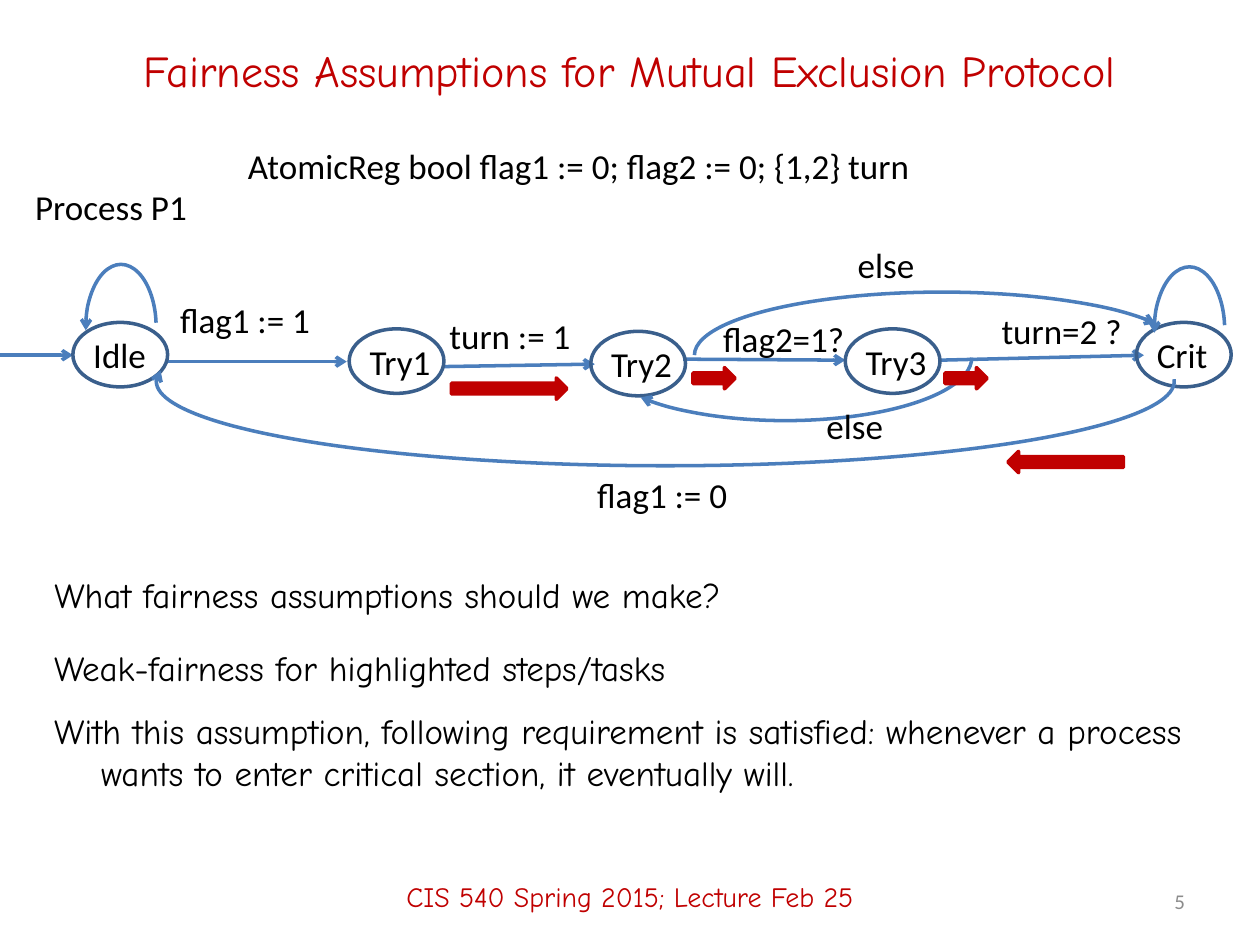
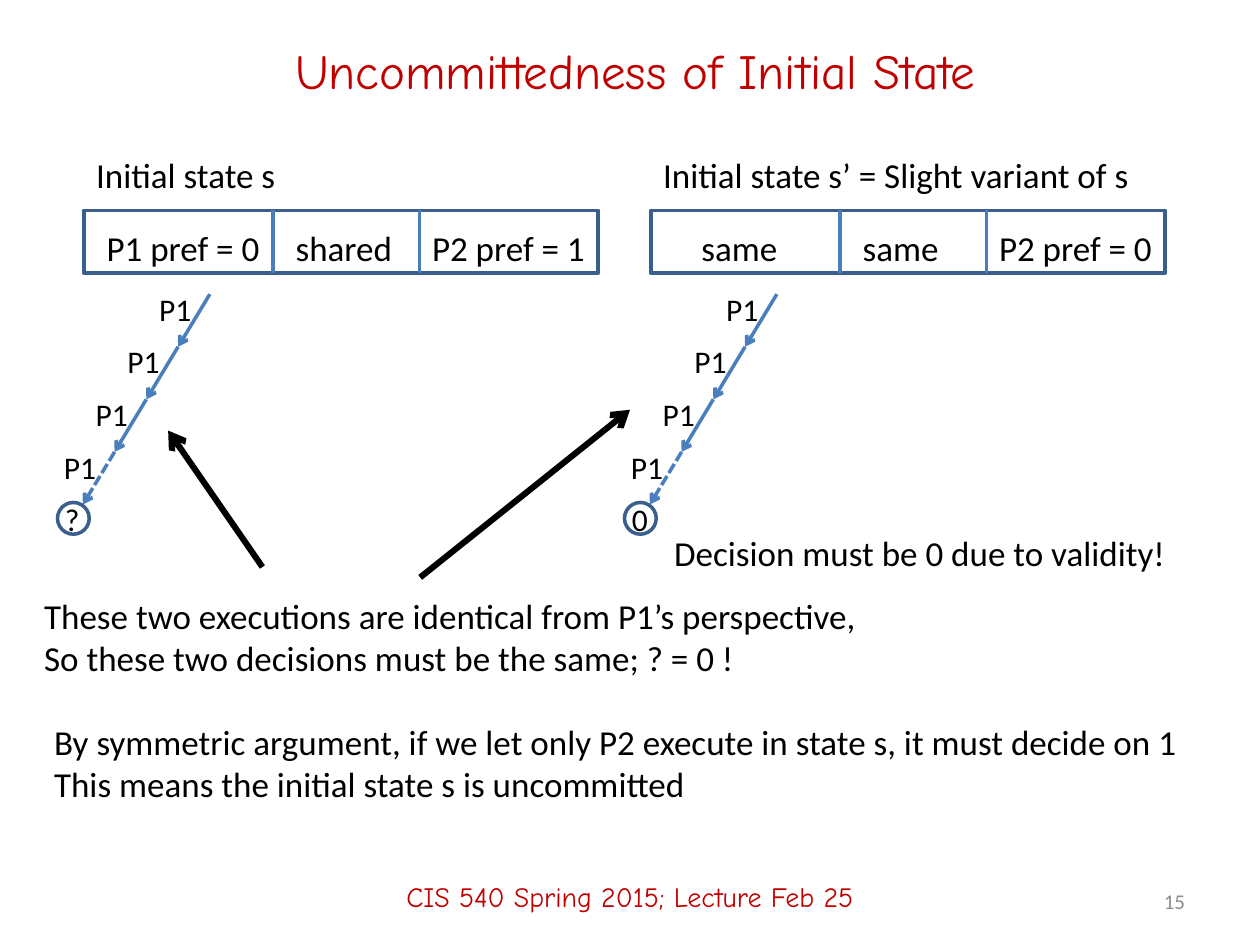
from pptx import Presentation
from pptx.dml.color import RGBColor
from pptx.enum.dml import MSO_LINE
from pptx.enum.shapes import MSO_CONNECTOR, MSO_SHAPE
from pptx.enum.text import MSO_ANCHOR as Anchor, MSO_AUTO_SIZE as AutoSize, PP_ALIGN as Align
from pptx.oxml.ns import qn
from pptx.util import Cm, Pt
from lxml.etree import SubElement

COLORS = {"accent": "C00000", "edge": "4B7EBC", "outline": "3A5F8C",
          "text": "000000", "number": "8C8C8C"}
HEADING_FONT, BODY_FONT = "Comic Neue", "Calibri"
LABEL_HEIGHT = 1.12
LABEL_FRAME = {"word_wrap": False, "auto_size": AutoSize.SHAPE_TO_FIT_TEXT,
               "vertical_anchor": Anchor.TOP}
BLOCK_FRAME = {"word_wrap": True, "auto_size": AutoSize.NONE, "vertical_anchor": Anchor.TOP}
MIDDLE_FRAME = {**BLOCK_FRAME, "vertical_anchor": Anchor.MIDDLE}
LEFT = {"alignment": Align.LEFT}
CENTER = {"alignment": Align.CENTER}
RIGHT = {"alignment": Align.RIGHT}


def rgb(color):
    return RGBColor.from_string(COLORS[color])


def apply_format(target, values):
    for name, value in values.items():
        setattr(target, name, value)


def place(shape, box):
    apply_format(shape, dict(zip(("left", "top", "width", "height"), map(Cm, box))))


def write(shape, lines, frame, layout, font, size, color="text"):
    text_frame = shape.text_frame
    apply_format(text_frame, frame)
    for index, line in enumerate(lines):
        paragraph = text_frame.add_paragraph() if index else text_frame.paragraphs[0]
        apply_format(paragraph, {**layout, "space_before": Pt(0)})
        run = paragraph.add_run()
        run.text = line
        apply_format(run.font, {"name": font, "size": Pt(size)})
        run.font.color.rgb = rgb(color)


def add_title(slide, text, left, width, size):
    title = slide.shapes.title
    place(title, (left, 0.42, width, 1.98))
    write(title, [text], MIDDLE_FRAME, CENTER, HEADING_FONT, size, "accent")


def add_label(slide, lines, left, top, width, height=LABEL_HEIGHT, size=20):
    label = slide.shapes.add_textbox(*map(Cm, (left, top, width, height)))
    write(label, lines, LABEL_FRAME, LEFT, BODY_FONT, size)


def fill_statement(shape, text, box):
    place(shape, box)
    properties = shape.text_frame.paragraphs[0]._p.get_or_add_pPr()
    apply_hanging = {"marL": Cm(0.95), "indent": -Cm(0.95)}
    for name, value in apply_hanging.items():
        properties.set(name, str(int(value)))
    SubElement(properties, qn("a:buNone"))
    write(shape, [text], BLOCK_FRAME, LEFT, HEADING_FONT, 20)


def add_footer(slide, number):
    footer = slide.shapes.add_textbox(*map(Cm, (0, 17.07, 25.4, 1.98)))
    write(footer, ["CIS 540 Spring 2015; Lecture Feb 25"], MIDDLE_FRAME, CENTER,
          HEADING_FONT, 16, "accent")
    page = slide.shapes.add_textbox(*map(Cm, (18.21, 17.65, 5.93, 1.02)))
    write(page, [str(number)], MIDDLE_FRAME, RIGHT, BODY_FONT, 12, "number")


def add_arrowhead(shape, end):
    SubElement(shape._element.spPr.get_or_add_ln(), qn(f"a:{end}"), type="arrow")


def add_line(slide, start, finish, color="edge", width=2, arrow=True, dash=None):
    line = slide.shapes.add_connector(MSO_CONNECTOR.STRAIGHT, *map(Cm, (*start, *finish)))
    line.line.color.rgb = rgb(color)
    apply_format(line.line, {"width": Pt(width), "dash_style": dash})
    if arrow:
        add_arrowhead(line, "tailEnd")
    SubElement(line._element.spPr, qn("a:effectLst"))


def add_figure(slide, kind, box, color="outline", filled=False, flip=None):
    shape = slide.shapes.add_shape(kind, *map(Cm, box))
    shape.shadow.inherit = False
    if filled:
        shape.fill.solid()
        shape.fill.fore_color.rgb = rgb(color)
    else:
        shape.fill.background()
    shape.line.color.rgb = rgb(color)
    shape.line.width = Pt(2)
    if flip:
        shape._element.spPr.xfrm.set(flip, "1")
    return shape


def add_arc(slide, box, angles, end="headEnd", flip=None, rotation=0):
    arc = add_figure(slide, MSO_SHAPE.ARC, box, "edge", flip=flip)
    for index, angle in enumerate(angles):
        arc.adjustments[index] = angle
    arc.rotation = rotation
    add_arrowhead(arc, end)


def add_state(slide, name, left, top, label_width):
    add_figure(slide, MSO_SHAPE.OVAL, (left, top, 1.91, 1.3))
    add_label(slide, [name], left + 0.16, top + 0.1, label_width)


def add_highlight(slide, left, top, width, flip=None):
    add_figure(slide, MSO_SHAPE.RIGHT_ARROW, (left, top, width, 0.43), "accent", True, flip)


def add_record(slide, left, caption, caption_width, cells):
    add_label(slide, [caption], left, 2.97, caption_width)
    add_figure(slide, MSO_SHAPE.RECTANGLE, (left, 4.24, 10.37, 1.27))
    for offset in (3.81, 6.77):
        add_line(slide, (left + offset, 4.24), (left + offset, 5.51), arrow=False)
    for text, offset, width in cells:
        add_label(slide, [text], left + offset, 4.45, width)


def add_execution(slide, record_left, decision):
    steps, step_x, step_y = 4, 0.64, 1.06
    for step in range(steps):
        x, y = record_left + 2.54 - step * step_x, 5.93 + step * step_y
        dash = MSO_LINE.SQUARE_DOT if step == steps - 1 else None
        add_line(slide, (x, y), (x - step_x, y + step_y), dash=dash)
        add_label(slide, ["P1"], x - 1.27, y - 0.21, 1.24, 1.02, 18)
    add_figure(slide, MSO_SHAPE.OVAL, (record_left - 0.53, 10.13, 0.64, 0.64))
    add_label(slide, [decision], record_left - 0.63, 9.96, 0.84, 1.02, 18)


def build_fairness(presentation):
    slide = presentation.slides.add_slide(presentation.slide_layouts[1])
    add_title(slide, "Fairness Assumptions for Mutual Exclusion Protocol", 0.84, 23.7, 25.2)

    transitions = [((0, 7.16), (1.47, 7.16)), ((3.38, 7.29), (6.99, 7.29)),
                   ((8.94, 7.39), (11.99, 7.34)), ((13.77, 7.24), (17.04, 7.26)),
                   ((18.97, 7.26), (23.06, 7.16))]
    for start, finish in transitions:
        add_line(slide, start, finish)

    states = [("Idle", 1.47, 6.5, 1.57), ("Try1", 7.04, 6.63, 1.75),
              ("Try2", 11.91, 6.68, 1.75), ("Try3", 17.04, 6.63, 1.75),
              ("Crit", 22.91, 6.5, 1.55)]
    for state in states:
        add_state(slide, *state)

    for left, top in ((1.73, 5.33), (23.27, 5.38)):
        add_arc(slide, (left, top, 1.42, 2.54), (105.09, 211.53))
    add_arc(slide, (11.71, -2.57, 3.4, 20.52), (161.85, 54.74), "tailEnd", rotation=90)
    add_arc(slide, (12.07, 5.94, 7.52, 2.54), (117.25, 0), flip="flipV")
    add_arc(slide, (14, 5.89, 9.98, 2.54), (113.09, 0), flip="flipH")

    labels = [("AtomicReg bool flag1 := 0; flag2 := 0; {1,2} turn", 4.75, 2.79, 13.97),
              ("Process P1", 0.46, 3.61, 3.61), ("flag1 := 1", 3.38, 5.89, 3.18),
              ("turn := 1", 8.81, 6.22, 2.97), ("flag2=1?", 14.33, 6.27, 2.97),
              ("turn=2 ?", 19.94, 6.12, 2.95), ("else", 17.04, 4.78, 1.68),
              ("else", 16.41, 8.03, 1.68), ("flag1 := 0", 11.79, 9.42, 3.18)]
    for text, left, top, width in labels:
        add_label(slide, [text], left, top, width)

    highlights = [(9.1, 7.62, 2.33), (13.97, 7.41, 0.85), (19.05, 7.41, 0.85),
                  (20.32, 9.1, 2.33, "flipH")]
    for highlight in highlights:
        add_highlight(slide, *highlight)

    fill_statement(slide.placeholders[1], "What fairness assumptions should we make?",
                   (0.84, 11.43, 20.75, 1.47))
    answers = [("Weak-fairness for highlighted steps/tasks", (0.84, 12.9, 20.75, 1.47)),
               ("With this assumption, following requirement is satisfied: whenever a process "
                "wants to enter critical section, it eventually will.",
                (0.84, 14.17, 24.56, 2.41))]
    for text, box in answers:
        fill_statement(slide.shapes.add_textbox(*map(Cm, box)), text, box)
    add_footer(slide, 5)


def build_uncommittedness(presentation):
    slide = presentation.slides.add_slide(presentation.slide_layouts[5])
    add_title(slide, "Uncommittedness of Initial State", 1.91, 21.79, 28)

    records = [
        (1.69, "Initial state s", 4.17, "?",
         [("P1 pref = 0", 0.21, 3.63), ("shared", 4.02, 2.64), ("P2 pref = 1", 6.77, 3.63)]),
        (13.12, "Initial state s’ = Slight variant of s", 10.01, "0",
         [("same", 0.77, 2.06), ("same", 4.02, 2.24), ("P2 pref = 0", 6.77, 3.63)])]
    for left, caption, caption_width, decision, cells in records:
        add_record(slide, left, caption, caption_width, cells)
        add_execution(slide, left, decision)

    for start, finish in (((5.29, 11.43), (3.39, 8.68)), ((8.47, 11.64), (12.7, 8.26))):
        add_line(slide, start, finish, "text", 3.5)

    add_label(slide, ["Decision must be 0 due to validity!"], 13.34, 10.58, 10.49)
    add_label(slide, ["These two executions are identical from P1’s perspective,",
                      "So these two decisions must be the same; ? = 0 !"],
              0.64, 11.85, 17.07, 1.96)
    add_label(slide, ["By symmetric argument, if we let only P2 execute in state s, "
                      "it must decide on 1",
                      "This means the initial state s is uncommitted"],
              0.84, 14.39, 23.37, 1.96)
    add_footer(slide, 15)


def main():
    presentation = Presentation()
    apply_format(presentation, {"slide_width": Cm(25.4), "slide_height": Cm(19.05)})
    build_fairness(presentation)
    build_uncommittedness(presentation)
    presentation.save("out.pptx")


if __name__ == "__main__":
    main()
